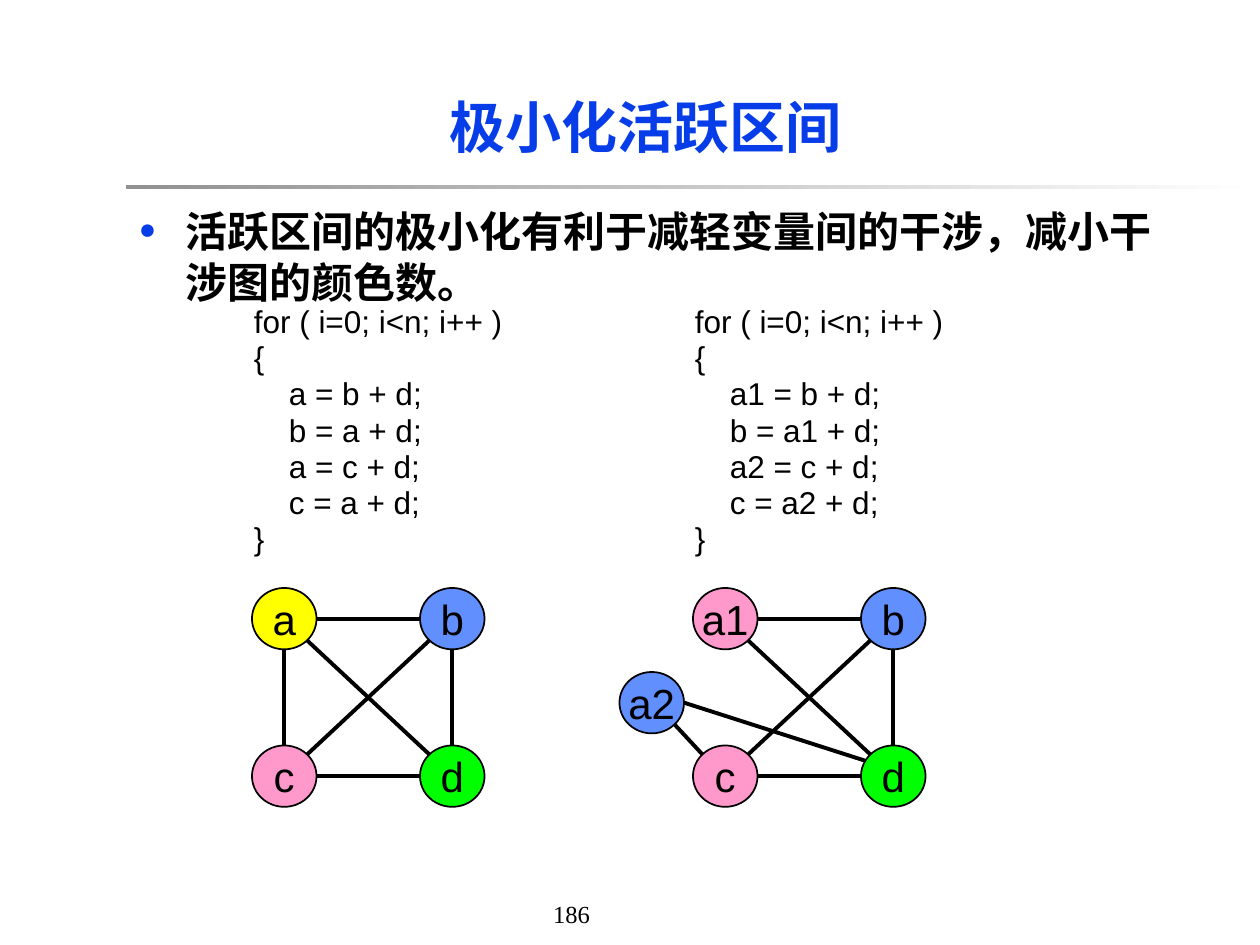
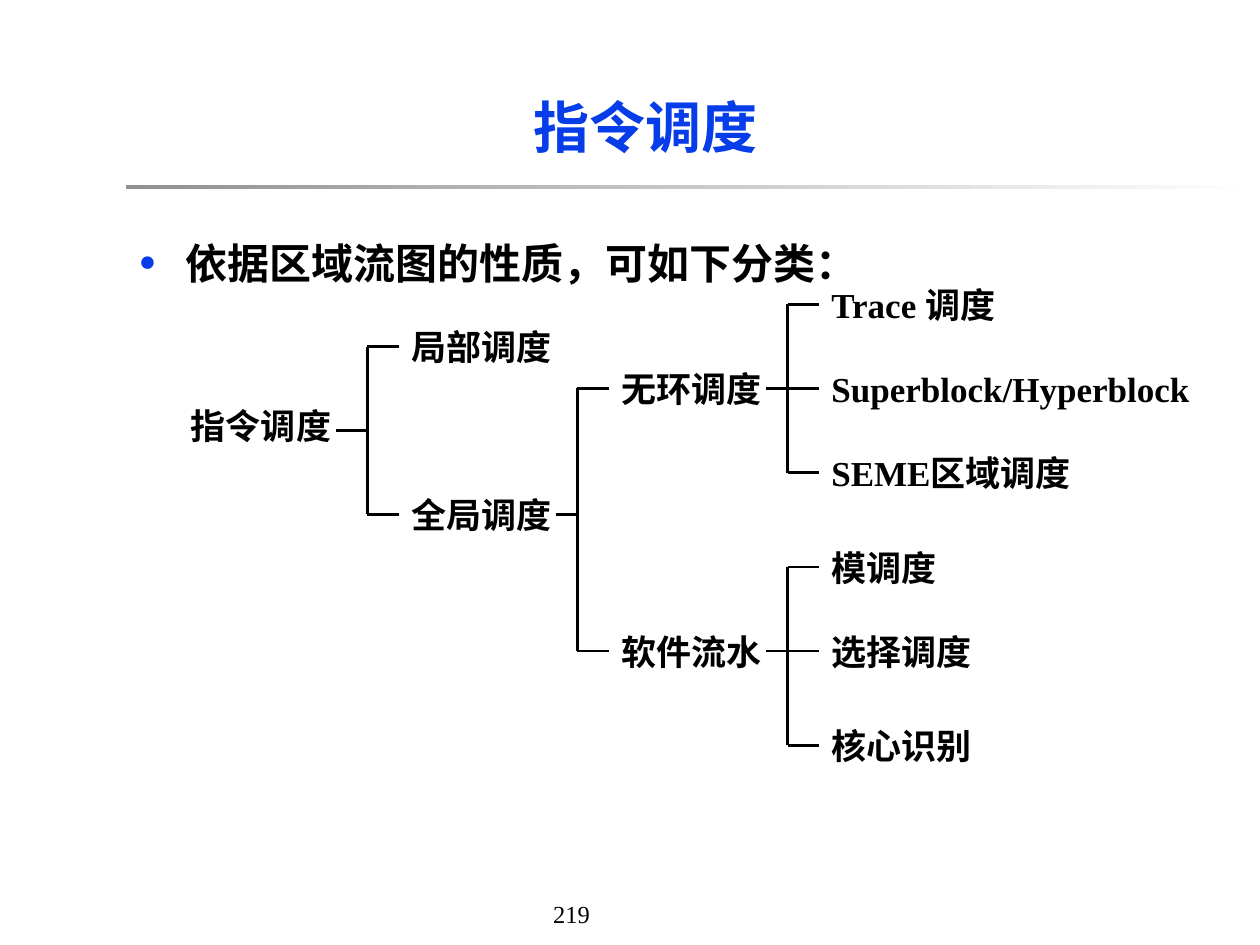
from dataclasses import dataclass

import pptx
import pptx.dml.color
import pptx.enum.shapes
import pptx.enum.text
import pptx.oxml
import pptx.oxml.ns
import pptx.util

ANCHOR = pptx.enum.text.MSO_ANCHOR
ALIGN = pptx.enum.text.PP_ALIGN
SHAPE = pptx.enum.shapes.MSO_SHAPE
CELLS_PER_INCH = 12


@dataclass(frozen=True)
class Theme:
    serif: str = "Times New Roman"
    sans: str = "Arial"
    accent: str = "063DE8"
    ink: str = "000000"
    rule_start: str = "919191"
    rule_end: str = "FFFFFF"
    yellow: str = "FFFF00"
    blue: str = "618FFD"
    pink: str = "FF99CC"
    green: str = "00FF00"
    title: int = 32
    point: int = 24
    topic: int = 20
    code: int = 18
    page: int = 14
    edge: float = 2.25
    branch: float = 1.5
    outline: float = 1


@dataclass(frozen=True)
class Box:
    col: float
    row: float
    cols: float
    rows: float

    def inner(self, col, row, cols, rows):
        return Box(self.col + col, self.row + row, cols, rows)

    def emu(self):
        return [cells(n) for n in (self.col, self.row, self.cols, self.rows)]


@dataclass(frozen=True)
class Topic:
    label: str
    row: float
    children: tuple = ()
    lift: float = 0


THEME = Theme()
PAGE = Box(0, 0, 120, 90)
LEFT_HALF = PAGE.inner(17, 29, 42, 50)
RIGHT_HALF = PAGE.inner(59, 29, 42, 50)

CODE_BEFORE = ["a = b + d;", "b = a + d;", "a = c + d;", "c = a + d;"]
CODE_AFTER = ["a1 = b + d;", "b = a1 + d;", "a2 = c + d;", "c = a2 + d;"]

SQUARE_EDGES = [("c", "ne", "b", "sw"), ("b", "s", "d", "n"), ("c", "e", "d", "w")]
BASE_NODES = {"b": (23, 27, THEME.blue), "c": (7, 42, THEME.pink), "d": (23, 42, THEME.green)}
NODES_BEFORE = {"a": (7, 27, THEME.yellow), **BASE_NODES}
EDGES_BEFORE = SQUARE_EDGES + [
    ("a", "e", "b", "w"), ("a", "s", "c", "n"), ("a", "se", "d", "nw")]
NODES_AFTER = {"a1": (7, 27, THEME.pink), "a2": (0, 35, THEME.blue), **BASE_NODES}
EDGES_AFTER = SQUARE_EDGES + [
    ("a1", "e", "b", "w"), ("a1", "se", "d", "nw"),
    ("a2", "e", "d", "wnw"), ("a2", "se", "c", "nw")]
NODE_COLS, NODE_ROWS = 6.15, 5.85
NEAR, FAR = 0.15, 0.85
COMPASS = {"n": (0.5, 0), "e": (1, 0.5), "s": (0.5, 1), "w": (0, 0.5), "wnw": (0.07, 0.25),
           "nw": (NEAR, NEAR), "ne": (FAR, NEAR), "sw": (NEAR, FAR), "se": (FAR, FAR)}

SCHEDULING = Topic("指令调度", 14, (
    Topic("局部调度", 6),
    Topic("全局调度", 22, (
        Topic("无环调度", 10, (
            Topic("Trace 调度", 2),
            Topic("Superblock/Hyperblock", 10),
            Topic("SEME区域调度", 18))),
        Topic("软件流水", 35, (
            Topic("模调度", 27),
            Topic("选择调度", 35),
            Topic("核心识别", 44))))),
), lift=0.5)
LEVEL_COLS = (0, 21, 41, 61)
LABEL_COLS = (15, 15, 15, 37)
LABEL_ROWS = 4
STUB_COLS = 3


def cells(count):
    return pptx.util.Inches(count / CELLS_PER_INCH)


def rgb(value):
    return pptx.dml.color.RGBColor.from_string(value)


def set_font(paragraph, size, name=THEME.serif, color=THEME.ink, bold=False):
    font = paragraph.font
    font.size, font.name, font.bold = pptx.util.Pt(size), name, bold
    font.color.rgb = rgb(color)


def add_text(slide, box, lines, size, wrap=True, anchor=ANCHOR.TOP, right_inset=1.2, **font):
    frame = slide.shapes.add_textbox(*box.emu()).text_frame
    frame.word_wrap = wrap
    frame.vertical_anchor = anchor
    frame.margin_right = cells(right_inset)
    frame.text = "\n".join(lines)
    for paragraph in frame.paragraphs:
        set_font(paragraph, size, **font)
    return frame.paragraphs


def add_line(slide, start, end, width):
    line = slide.shapes.add_connector(
        pptx.enum.shapes.MSO_CONNECTOR.STRAIGHT, *[cells(n) for n in (*start, *end)])
    line.line.color.rgb = rgb(THEME.ink)
    line.line.width = pptx.util.Pt(width)
    properties = line._element.spPr
    properties.append(properties.makeelement(pptx.oxml.ns.qn("a:effectLst")))


def indent(paragraph, margin, first=0):
    properties = paragraph._p.get_or_add_pPr()
    properties.set("marL", str(cells(margin)))
    properties.set("indent", str(cells(first)))
    return properties


def add_title(slide, box, text):
    title = slide.shapes.title
    title.left, title.top, title.width, title.height = box.emu()
    frame = title.text_frame
    frame.text = text
    frame.auto_size = pptx.enum.text.MSO_AUTO_SIZE.NONE
    frame.vertical_anchor = ANCHOR.MIDDLE
    paragraph = frame.paragraphs[0]
    paragraph.alignment = ALIGN.CENTER
    set_font(paragraph, THEME.title, color=THEME.accent, bold=True)


def add_rule(slide, box):
    rule = slide.shapes.add_shape(SHAPE.RECTANGLE, *box.emu())
    rule.shadow.inherit = False
    rule.line.fill.background()
    rule.fill.gradient()
    rule.fill.gradient_angle = 0
    for stop, color in zip(rule.fill.gradient_stops, (THEME.rule_start, THEME.rule_end)):
        stop.color.rgb = rgb(color)


def add_point(slide, box, text):
    point, = add_text(slide, box, [text], THEME.point, bold=True)
    point.space_before = pptx.util.Pt(6)
    properties = indent(point, 4.5, -4.5)
    for tag, attribute, value in (("buSzPct", "val", "125000"),
                                  ("buFont", "typeface", THEME.serif),
                                  ("buChar", "char", "•")):
        bullet = properties.makeelement(pptx.oxml.ns.qn("a:" + tag), {attribute: value})
        properties.insert_element_before(bullet, "a:tabLst", "a:defRPr", "a:extLst")
    color = pptx.oxml.parse_xml(
        f'<a:buClr {pptx.oxml.ns.nsdecls("a")}><a:srgbClr val="{THEME.accent}"/></a:buClr>')
    properties.insert_element_before(color, "a:buSzPct")


def add_page(deck, title, point, point_row, number):
    slide = deck.slides.add_slide(deck.slide_layouts.get_by_name("Title Only"))
    add_rule(slide, PAGE.inner(12, 17.64, 108, 0.36))
    add_title(slide, PAGE.inner(12, 6, 99, 12), title)
    add_point(slide, PAGE.inner(12, point_row, 99, 59), point)
    add_text(slide, PAGE.inner(51.5, 85, 12.2, 4), [number], THEME.page, wrap=False)
    return slide


def add_code(slide, box, statements):
    lines = ["for ( i=0; i<n; i++ )", "{", *statements, "}"]
    for paragraph in add_text(slide, box, lines, THEME.code, name=THEME.sans):
        paragraph.alignment = ALIGN.JUSTIFY
        paragraph.line_spacing = 0.75
        paragraph.space_before = pptx.util.Pt(4.5)
        if paragraph.text in statements:
            indent(paragraph, 3.33)


def add_node(slide, box, name, color):
    node = slide.shapes.add_shape(SHAPE.OVAL, *box.emu())
    node.shadow.inherit = False
    node.fill.solid()
    node.fill.fore_color.rgb = rgb(color)
    node.line.color.rgb = rgb(THEME.ink)
    node.line.width = pptx.util.Pt(THEME.outline)
    frame = node.text_frame
    frame.text = name
    frame.word_wrap = False
    frame.vertical_anchor = ANCHOR.MIDDLE
    frame.paragraphs[0].alignment = ALIGN.CENTER
    set_font(frame.paragraphs[0], THEME.point, name=THEME.sans)


def add_interference_graph(slide, box, nodes, edges):
    def site(name, side):
        col, row, _ = nodes[name]
        across, down = COMPASS[side]
        return box.col + col + across * NODE_COLS, box.row + row + down * NODE_ROWS

    for start, start_side, end, end_side in edges:
        add_line(slide, site(start, start_side), site(end, end_side), THEME.edge)
    for name, (col, row, color) in nodes.items():
        add_node(slide, box.inner(col, row, NODE_COLS, NODE_ROWS), name, color)


def add_topic_tree(slide, box, topic, level=0):
    left, width = LEVEL_COLS[level], LABEL_COLS[level]
    label_top = topic.row - topic.lift - LABEL_ROWS / 2
    add_text(slide, box.inner(left, label_top, width, LABEL_ROWS), [topic.label],
             THEME.topic, wrap=False, anchor=ANCHOR.MIDDLE, right_inset=0, bold=True)
    if not topic.children:
        return
    child_col = box.col + LEVEL_COLS[level + 1]
    trunk = child_col - STUB_COLS
    rows = [box.row + child.row for child in topic.children]
    parent_row = box.row + topic.row
    add_line(slide, (box.col + left + width, parent_row), (trunk, parent_row), THEME.branch)
    add_line(slide, (trunk, rows[0]), (trunk, rows[-1]), THEME.branch)
    for child, row in zip(topic.children, rows):
        add_line(slide, (trunk, row), (child_col, row), THEME.branch)
        add_topic_tree(slide, box, child, level + 1)


def add_live_range_slide(deck):
    slide = add_page(deck, "极小化活跃区间",
                     "活跃区间的极小化有利于减轻变量间的干涉，减小干涉图的颜色数。", 19, "186")
    for half, code, nodes, edges in (
            (LEFT_HALF, CODE_BEFORE, NODES_BEFORE, EDGES_BEFORE),
            (RIGHT_HALF, CODE_AFTER, NODES_AFTER, EDGES_AFTER)):
        add_code(slide, half.inner(6, 0, 41, 24.6), code)
        add_interference_graph(slide, half, nodes, edges)


def add_scheduling_slide(deck):
    slide = add_page(deck, "指令调度", "依据区域流图的性质，可如下分类：", 22, "219")
    add_topic_tree(slide, PAGE.inner(17, 27, 98, 46), SCHEDULING)


def main():
    deck = pptx.Presentation()
    deck.slide_width, deck.slide_height = cells(PAGE.cols), cells(PAGE.rows)
    add_live_range_slide(deck)
    add_scheduling_slide(deck)
    deck.save("out.pptx")


if __name__ == "__main__":
    main()
